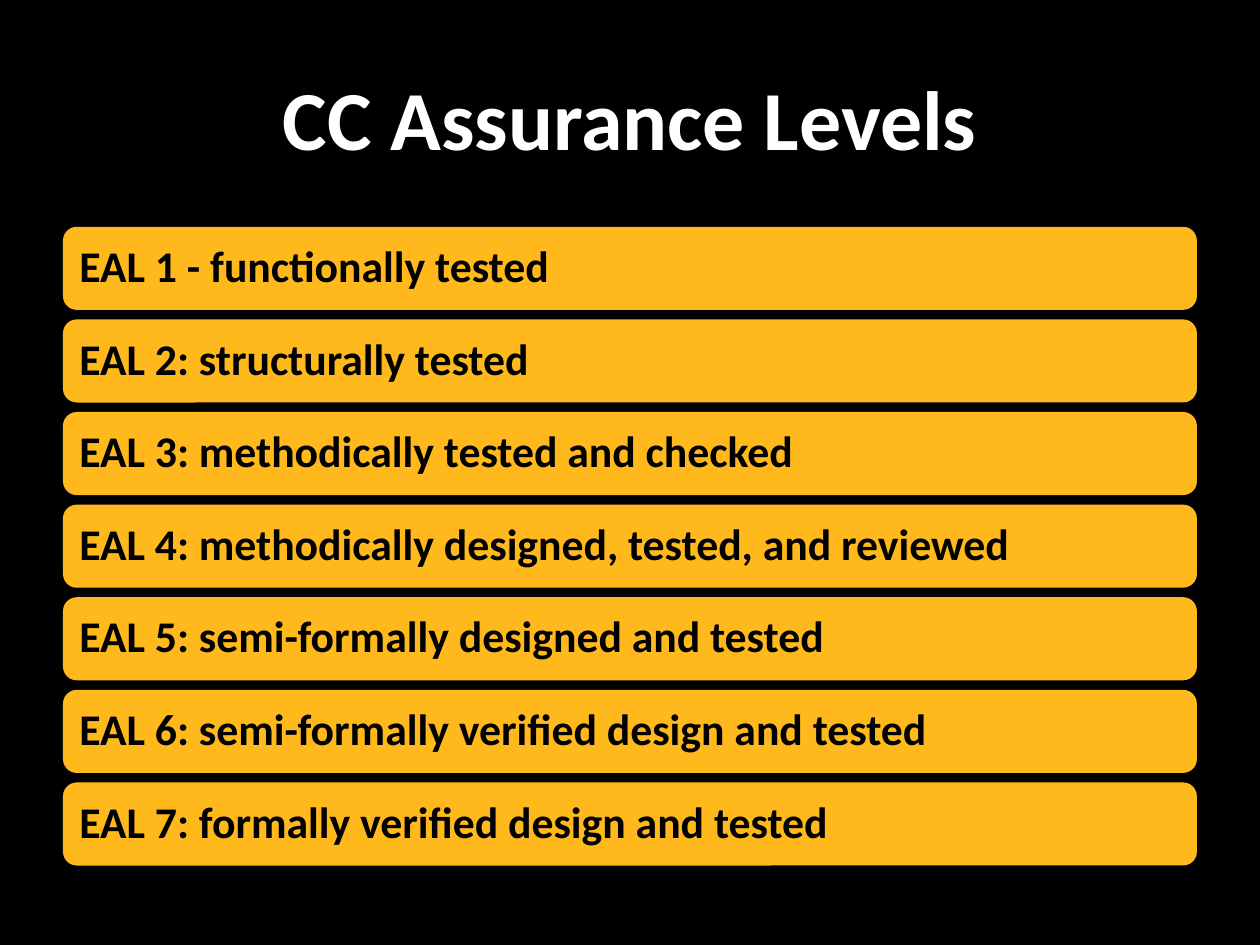
import dataclasses

import pptx
import pptx.dml.color
import pptx.enum.shapes
import pptx.enum.text
import pptx.util

RGBColor = pptx.dml.color.RGBColor
BLACK = RGBColor(0x00, 0x00, 0x00)
WHITE = RGBColor(0xFF, 0xFF, 0xFF)
AMBER = RGBColor(0xFF, 0xB9, 0x1D)
FONT_NAME = "Calibri"

SLIDE_WIDTH = pptx.util.Inches(10)
SLIDE_HEIGHT = pptx.util.Inches(7.5)

# Column of bars, as shares of the slide
BAR_LEFT, BAR_WIDTH = 0.05, 0.9
FIRST_BAR_TOP, BAR_HEIGHT, BAR_PITCH = 0.24, 0.088, 0.098


@dataclasses.dataclass(frozen=True)
class AssuranceLevel:
    row: int
    text: str


LEVELS = [
    AssuranceLevel(row, text)
    for row, text in enumerate([
        "EAL 1 - functionally tested",
        "EAL 2: structurally tested",
        "EAL 3: methodically tested and checked",
        "EAL 4: methodically designed, tested, and reviewed",
        "EAL 5: semi-formally designed and tested",
        "EAL 6: semi-formally verified design and tested",
        "EAL 7: formally verified design and tested",
    ])
]


def format_paragraph(paragraph, size: float, color: RGBColor, alignment) -> None:
    paragraph.alignment = alignment
    font = paragraph.font
    font.name = FONT_NAME
    font.size = pptx.util.Pt(size)
    font.bold = True
    font.color.rgb = color


def set_title(slide, text: str) -> None:
    title = slide.shapes.title
    title.left, title.top = 0, int(SLIDE_HEIGHT * 0.04)
    title.width, title.height = SLIDE_WIDTH, pptx.util.Inches(1.25)
    frame = title.text_frame
    frame.text = text
    frame.vertical_anchor = pptx.enum.text.MSO_ANCHOR.MIDDLE
    format_paragraph(frame.paragraphs[0], 48, WHITE, pptx.enum.text.PP_ALIGN.CENTER)


def draw_level(slide, level: AssuranceLevel) -> None:
    shape = slide.shapes.add_shape(
        pptx.enum.shapes.MSO_SHAPE.ROUNDED_RECTANGLE,
        int(SLIDE_WIDTH * BAR_LEFT),
        int(SLIDE_HEIGHT * (FIRST_BAR_TOP + level.row * BAR_PITCH)),
        int(SLIDE_WIDTH * BAR_WIDTH),
        int(SLIDE_HEIGHT * BAR_HEIGHT),
    )
    shape.shadow.inherit = False
    shape.fill.solid()
    shape.fill.fore_color.rgb = AMBER
    shape.line.fill.background()

    frame = shape.text_frame
    frame.text = level.text
    frame.word_wrap = True
    frame.vertical_anchor = pptx.enum.text.MSO_ANCHOR.MIDDLE
    frame.margin_left = frame.margin_right = pptx.util.Inches(0.1)
    frame.margin_top = frame.margin_bottom = pptx.util.Inches(0.1)
    paragraph = frame.paragraphs[0]
    paragraph.line_spacing = 0.9
    format_paragraph(paragraph, 25, BLACK, pptx.enum.text.PP_ALIGN.LEFT)


def main() -> None:
    presentation = pptx.Presentation()
    presentation.slide_width = SLIDE_WIDTH
    presentation.slide_height = SLIDE_HEIGHT

    # Title-only slide on black
    slide = presentation.slides.add_slide(presentation.slide_layouts[5])
    slide.background.fill.solid()
    slide.background.fill.fore_color.rgb = BLACK
    set_title(slide, "CC Assurance Levels")

    # One bar for each assurance level
    for level in LEVELS:
        draw_level(slide, level)

    presentation.save("out.pptx")


if __name__ == "__main__":
    main()
